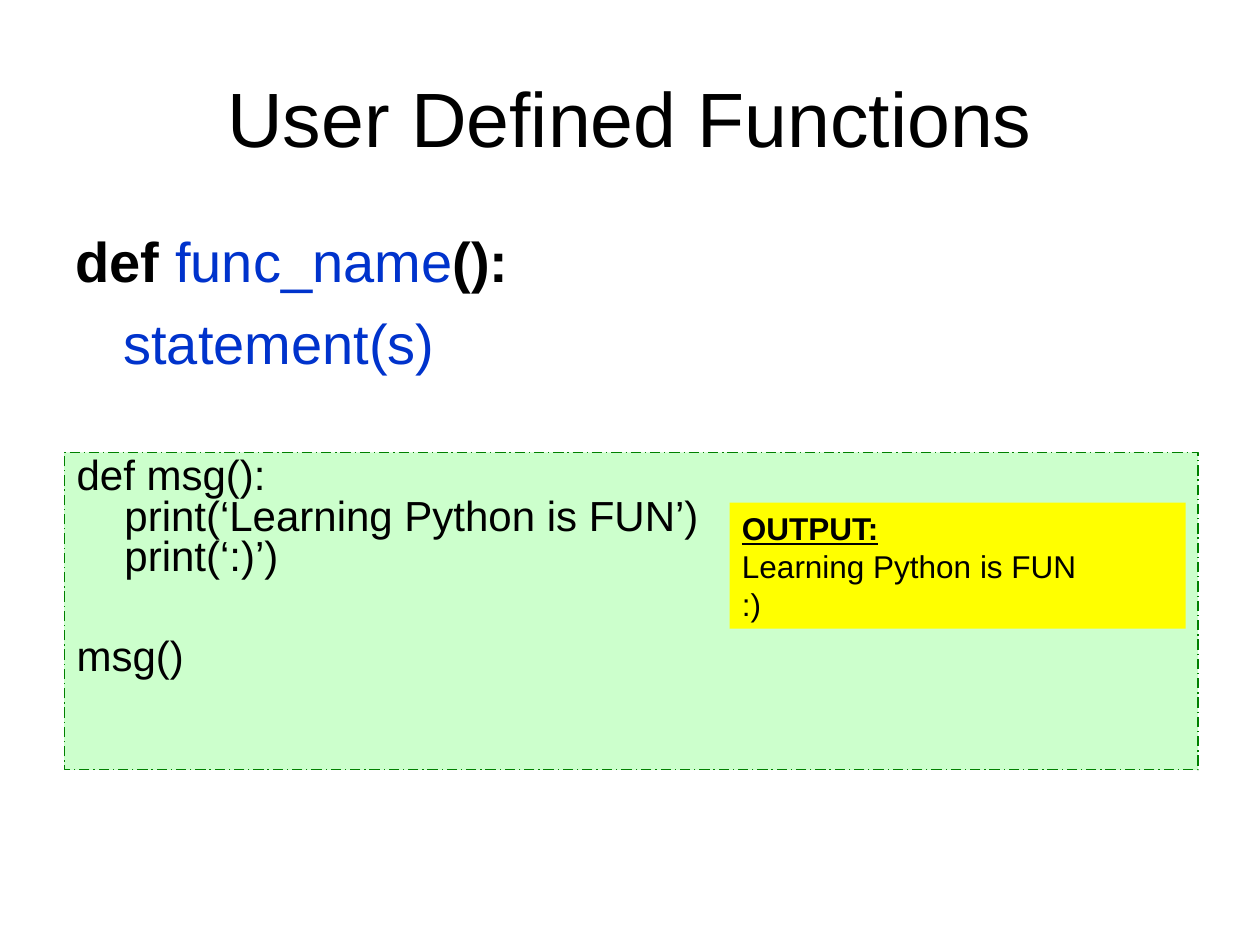
import pptx
import pptx.util
import pptx.dml.color
import pptx.enum.dml
import pptx.enum.shapes
import pptx.enum.text
import pptx.oxml.ns
import lxml.etree

Inches, Pt = pptx.util.Inches, pptx.util.Pt
RGB = pptx.dml.color.RGBColor.from_string
PP = pptx.enum.text
COLORS = {"text": "000000", "name": "0033CC", "code": "CCFFCC",
          "border": "008000", "output": "FFFF00"}


def place(sp, box):
    for name, value in zip(("left", "top", "width", "height"), box):
        setattr(sp, name, Inches(value))
    tf = sp.text_frame
    frame = {"word_wrap": True, "auto_size": PP.MSO_AUTO_SIZE.NONE,
             "vertical_anchor": PP.MSO_ANCHOR.TOP,
             "margin_left": Inches(0.1), "margin_right": Inches(0.1),
             "margin_top": Inches(0.05), "margin_bottom": Inches(0.05)}
    for name, value in frame.items():
        setattr(tf, name, value)
    return tf


def write(tf, index, runs, size, margin=0, indent=0, **fmt):
    p = tf.paragraphs[0] if index == 0 else tf.add_paragraph()
    for name, value in {"alignment": PP.PP_ALIGN.LEFT, **fmt}.items():
        setattr(p, name, value)
    pPr = p._p.get_or_add_pPr()
    pPr.set("marL", str(Inches(margin)))
    pPr.set("indent", str(Inches(indent)))
    lxml.etree.SubElement(pPr, pptx.oxml.ns.qn("a:buNone"))
    for text, color, bold in runs:
        for i, line in enumerate(text.split("\n")):
            if i:
                p.add_line_break()
            r = p.add_run()
            r.text = line
            font = {"name": "Arial", "size": Pt(size), "bold": bold}
            for name, value in font.items():
                setattr(r.font, name, value)
            r.font.color.rgb = RGB(COLORS[color])
    return p


prs = pptx.Presentation()
prs.slide_width, prs.slide_height = Inches(10), Inches(7.5)
s = prs.slides.add_slide(prs.slide_layouts[1])

tf = place(s.shapes.title, (0.5, 0.3, 9, 1.25))
tf.vertical_anchor = PP.MSO_ANCHOR.MIDDLE
write(tf, 0, [("User Defined Functions", "text", False)], 44,
      alignment=PP.PP_ALIGN.CENTER)

tf = place(s.placeholders[1], (0.5, 1.75, 9, 1.53))
syntax = [
    ([("def ", "text", True), ("func_name", "name", False), ("():", "text", True)], 0),
    ([("statement(s)", "name", False)], 0.38),
]
for i, (runs, margin) in enumerate(syntax):
    write(tf, i, runs, 32, margin, space_before=Pt(8))

boxes = {}
for key, box in {"code": (0.51, 3.59, 9, 2.52), "output": (5.79, 3.99, 3.62, 1)}.items():
    sp = s.shapes.add_shape(pptx.enum.shapes.MSO_SHAPE.RECTANGLE, *map(Inches, box))
    sp.shadow.inherit = False
    sp.fill.solid()
    sp.fill.fore_color.rgb = RGB(COLORS[key])
    sp.line.fill.background()
    boxes[key] = sp

line = boxes["code"].line
line.color.rgb = RGB(COLORS["border"])
line.width = Pt(0.75)
line.dash_style = pptx.enum.dml.MSO_LINE.LONG_DASH_DOT

tf = place(boxes["code"], (0.51, 3.59, 9, 2.52))
code = [("def msg():\nprint(‘Learning Python is FUN’)\nprint(‘:)’)", 6), ("msg()", 34)]
for i, (text, before) in enumerate(code):
    write(tf, i, [(text, "text", False)], 24, 0.38, -0.38,
          line_spacing=0.8, space_before=Pt(before))

tf = place(boxes["output"], (5.79, 3.99, 3.62, 1))
for i, text in enumerate(["OUTPUT:", "Learning Python is FUN", ":)"]):
    p = write(tf, i, [(text, "text", i == 0)], 18)
    p.runs[0].font.underline = i == 0

prs.save("out.pptx")
